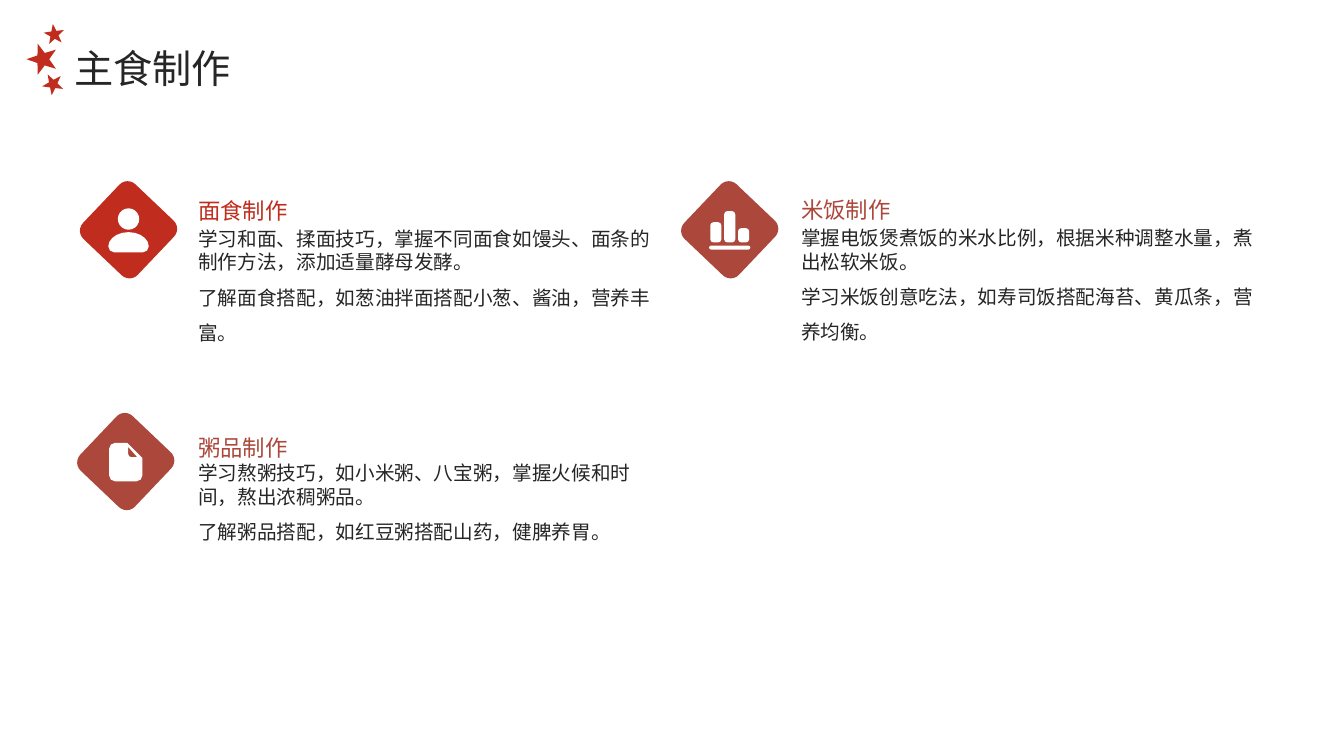
import math
import typing

import pptx
import pptx.dml.color
import pptx.enum.shapes
import pptx.enum.text
import pptx.oxml.ns
import pptx.util
import lxml.etree

Cm = pptx.util.Cm
Anchor = pptx.enum.text.MSO_ANCHOR
Point = tuple[float, float]
Path = list[Point]

FONT = "Noto Sans CJK SC"
COLORS = {"red": "C02C1E", "brick": "AB483B", "ink": "262626", "white": "FFFFFF"}
GRAIN = 1000  # outline units per centimetre
SIDE = 1.9  # side of a card's diamond


class Corner(typing.NamedTuple):
    x: float
    y: float
    enter: float = 0  # rounding length before the corner
    leave: float = 0  # rounding length after the corner


class Star(typing.NamedTuple):
    x: float
    y: float
    size: float
    angle: float


class Card(typing.NamedTuple):
    head: str
    lines: list[str]
    color: str
    mark: Point
    left: float
    top: float
    drop: float  # from heading box to body box
    icon: list[Path]


# Outlines, in centimetres
def toward(start: Point, end: Point, length: float) -> Point:
    part = length / math.dist(start, end)
    return start[0] + (end[0] - start[0]) * part, start[1] + (end[1] - start[1]) * part


def smooth(corners: list[Corner]) -> Path:
    points: Path = []
    for i, corner in enumerate(corners):
        tip = (corner.x, corner.y)
        if not corner.enter:
            points.append(tip)
            continue
        start = toward(tip, corners[i - 1][:2], corner.enter)
        end = toward(tip, corners[(i + 1) % len(corners)][:2], corner.leave)
        steps = 5 if corner.enter > 0.2 else 2
        for n in range(steps + 1):
            t = n / steps
            near = (1 - t) ** 3 + 1.35 * (1 - t) ** 2 * t
            far = t ** 3 + 1.35 * (1 - t) * t ** 2
            points.append(tuple(near * a + far * b + (1 - near - far) * c
                                for a, b, c in zip(start, end, tip)))
    return points


def block(left: float, top: float, right: float, bottom: float, curve: float) -> Path:
    spots = [(left, top), (right, top), (right, bottom), (left, bottom)]
    return smooth([Corner(x, y, curve, curve) for x, y in spots])


def star_path(star: Star) -> Path:
    points = []
    for n in range(10):
        turn = math.radians(star.angle + 36 * n)
        reach = star.size * (0.4 if n % 2 else 1)
        points.append((star.x + reach * math.cos(turn), star.y + reach * math.sin(turn)))
    return points


# Icons, measured from the diamond's centre
PERSON = [
    smooth([Corner(-0.51, 0.06, 0.36, 0.51), Corner(0.51, 0.06, 0.51, 0.36),
            Corner(0.51, 0.57, 0.15, 0.15), Corner(-0.51, 0.57, 0.15, 0.15)]),
    block(-0.27, -0.54, 0.27, 0, 0.27),
]
BARS = [block(-0.52, 0.4, 0.52, 0.5, 0.05)] + [
    block(-0.49 + 0.35 * i, top, -0.21 + 0.35 * i, 0.32, 0.08)
    for i, top in enumerate([-0.19, -0.47, -0.04])
]
SHEET = [
    smooth([Corner(-0.42, -0.47, 0.15, 0.15), Corner(0.04, -0.47),
            Corner(0.42, -0.09), Corner(0.42, 0.5, 0.15, 0.15),
            Corner(-0.42, 0.5, 0.15, 0.15)]),
    smooth([Corner(0.06, -0.37), Corner(0.06, -0.11, 0.08, 0.08), Corner(0.29, -0.11)]),
]

CARDS = [
    Card("面食制作", ["学习和面、揉面技巧，掌握不同面食如馒头、面条的制作方法，添加适量酵母发酵。",
                  "了解面食搭配，如葱油拌面搭配小葱、酱油，营养丰富。"],
         "red", (2.29, 4.84), 4.75, 3.92, 1.67, PERSON),
    Card("粥品制作", ["学习熬粥技巧，如小米粥、八宝粥，掌握火候和时间，熬出浓稠粥品。",
                  "了解粥品搭配，如红豆粥搭配山药，健脾养胃。"],
         "brick", (2.22, 10.68), 4.75, 9.88, 1.62, SHEET),
    Card("米饭制作", ["掌握电饭煲煮饭的米水比例，根据米种调整水量，煮出松软米饭。",
                  "学习米饭创意吃法，如寿司饭搭配海苔、黄瓜条，营养均衡。"],
         "brick", (17.44, 4.84), 19.94, 3.89, 1.68, BARS),
]
STARS = [Star(1.31, 2.15, 0.28, -119), Star(1.05, 1.52, 0.41, 180), Star(1.34, 0.9, 0.27, -97.5)]


# Drawing helpers
def apply(target: typing.Any, values: dict[str, typing.Any]) -> None:
    for name, value in values.items():
        setattr(target, name, value)


def tint(name: str) -> pptx.dml.color.RGBColor:
    return pptx.dml.color.RGBColor.from_string(COLORS[name])


def paint(shape: typing.Any, color: str) -> None:
    shape.shadow.inherit = False
    shape.fill.solid()
    shape.fill.fore_color.rgb = tint(color)
    shape.line.fill.background()


def write(frame: typing.Any, lines: list[str], size: float, color: str,
          gaps: list[float], form: dict[str, typing.Any]) -> None:
    apply(frame, {"word_wrap": True, "auto_size": pptx.enum.text.MSO_AUTO_SIZE.NONE} | form)
    for i, (line, gap) in enumerate(zip(lines, gaps)):
        para = frame.add_paragraph() if i else frame.paragraphs[0]
        apply(para, {"line_spacing": gap, "alignment": pptx.enum.text.PP_ALIGN.LEFT})
        para._p.get_or_add_pPr().set("hangingPunct", "0")
        run = para.add_run()
        run.text = line
        apply(run.font, {"size": pptx.util.Pt(size), "name": FONT})
        run.font.color.rgb = tint(color)
        east = lxml.etree.SubElement(run.font._element, pptx.oxml.ns.qn("a:ea"))
        east.set("typeface", FONT)


def trace(shapes: typing.Any, paths: list[Path], color: str) -> typing.Any:
    pen = None
    for points in paths:
        spots = [(x * GRAIN, y * GRAIN) for x, y in points]
        if pen is None:
            pen = shapes.build_freeform(*spots[0], scale=Cm(1) / GRAIN)
        else:
            pen.move_to(*spots[0])
        pen.add_line_segments(spots[1:], close=True)
    shape = pen.convert_to_shape()
    paint(shape, color)
    return shape


def draw_card(shapes: typing.Any, card: Card) -> None:
    body = shapes.add_textbox(Cm(card.left), Cm(card.top + card.drop), Cm(12.07), Cm(4.57))
    write(body.text_frame, card.lines, 14, "ink", [1.0, 1.5], {})
    head = shapes.add_textbox(Cm(card.left), Cm(card.top), Cm(12.07), Cm(1.85))
    write(head.text_frame, [card.head], 16, card.color, [1.1],
          {"vertical_anchor": Anchor.BOTTOM})
    x, y = card.mark
    mark = shapes.add_shape(pptx.enum.shapes.MSO_SHAPE.ROUNDED_RECTANGLE,
                            Cm(x), Cm(y), Cm(SIDE), Cm(SIDE))
    mark.adjustments[0] = 0.15
    mark.rotation = 313.5
    paint(mark, card.color)
    mid = (x + SIDE / 2, y + SIDE / 2)
    trace(shapes, [[(mid[0] + a, mid[1] + b) for a, b in path] for path in card.icon], "white")


def main() -> None:
    deck = pptx.Presentation()
    apply(deck, {"slide_width": Cm(33.87), "slide_height": Cm(19.05)})
    slide = deck.slides.add_slide(deck.slide_layouts[5])

    # Title
    title = slide.shapes.title
    apply(title, {"left": Cm(1.87), "top": Cm(0.76), "width": Cm(28.83), "height": Cm(1.5)})
    sides = ["margin_left", "margin_top", "margin_right", "margin_bottom"]
    write(title.text_frame, ["主食制作"], 28, "ink", [1.3],
          {"vertical_anchor": Anchor.TOP} | dict.fromkeys(sides, 0))

    # Cards
    for card in CARDS:
        draw_card(slide.shapes, card)

    # Stars, laid on their side and turned upright
    mid = (1.14, 1.53)
    paths = [[(mid[0] - (y - mid[1]), mid[1] + (x - mid[0])) for x, y in star_path(star)]
             for star in STARS]
    trace(slide.shapes, paths, "red").rotation = 270

    deck.save("out.pptx")


if __name__ == "__main__":
    main()
